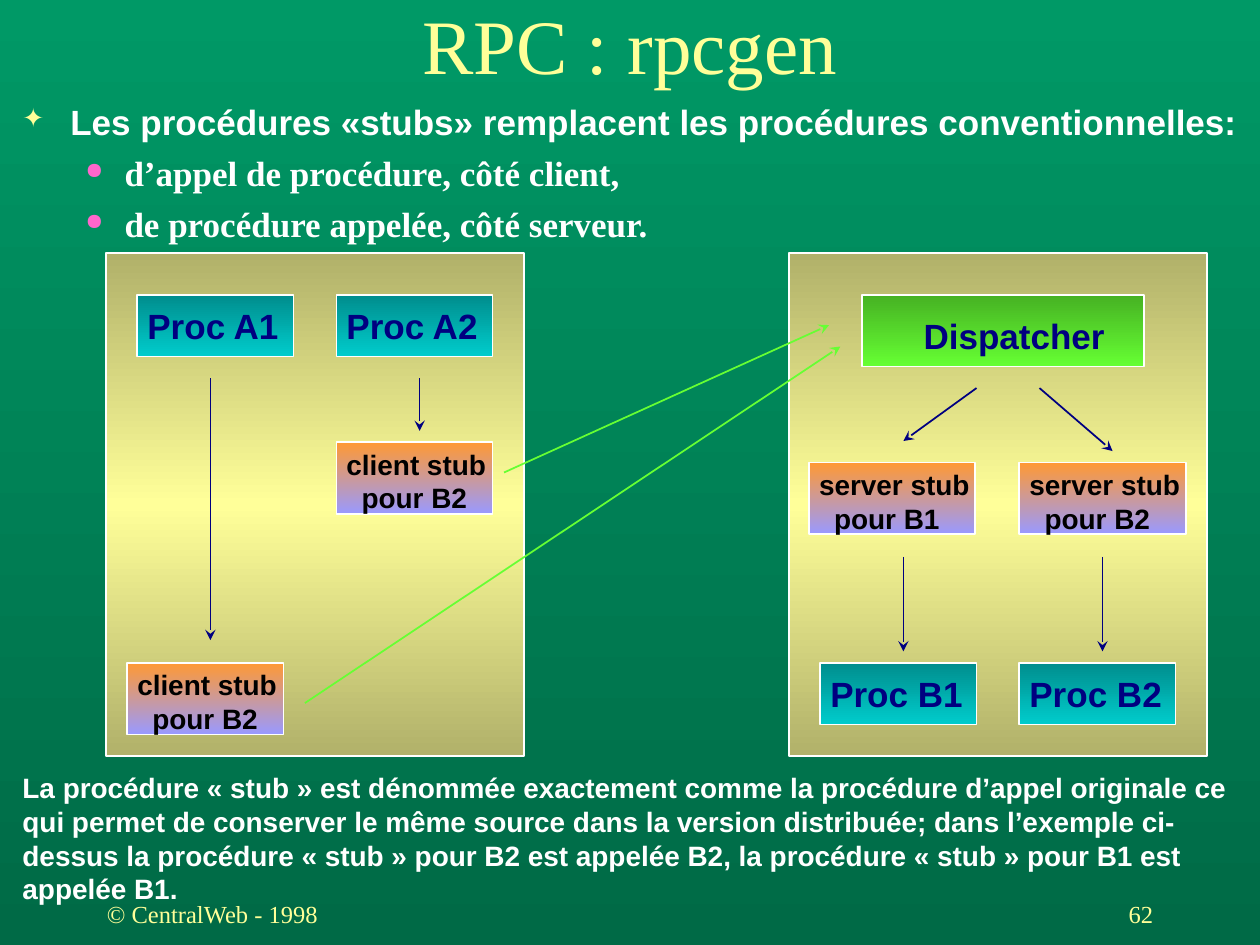
from copy import deepcopy

from pptx import Presentation
from pptx.dml.color import RGBColor
from pptx.enum.shapes import MSO_CONNECTOR as Conn, MSO_SHAPE as Shape
from pptx.enum.text import MSO_ANCHOR as Anchor, PP_ALIGN as Align
from pptx.oxml.ns import qn
from pptx.oxml.xmlchemy import OxmlElement as Elem
from pptx.util import Inches, Pt

SANS, SERIF = "Arial", "Times New Roman"
WHITE, BLACK, NAVY, CREAM, LIME = "FFFFFF", "000000", "000080", "FFFF99", "66FF33"
SAND = ["B1B16A", "FFFF99", "B1B16A"]
TEAL = ["008D8D", "00CCCC"]
STUB = ["FF9933", "9999FF"]
GREEN = ["46B123", "66FF33"]


def rgb(code):
    return RGBColor.from_string(code)


def shade(fill, root, codes):
    fill.gradient()
    fill.gradient_angle = 270
    stops = root.find(".//" + qn("a:gsLst"))
    for _ in codes[2:]:
        stops.append(deepcopy(stops[0]))
    for i, (stop, code) in enumerate(zip(fill.gradient_stops, codes)):
        stop.position = i / (len(codes) - 1)
        stop.color.rgb = rgb(code)


def style(para, size, face, color, bold):
    for run in para.runs:
        font = run.font
        font.size, font.name, font.bold = Pt(size), face, bold
        font.color.rgb = rgb(color)


def write(slide, box, text, size, face, color, bold=False, align=Align.LEFT, anchor=Anchor.TOP):
    frame = slide.shapes.add_textbox(*map(Inches, box)).text_frame
    frame.word_wrap = True
    frame.vertical_anchor = anchor
    frame.text = text
    for para in frame.paragraphs:
        para.alignment = align
        style(para, size, face, color, bold)
    return frame


def block(slide, box, codes):
    shape = slide.shapes.add_shape(Shape.RECTANGLE, *map(Inches, box))
    shape.shadow.inherit = False
    shade(shape.fill, shape.element, codes)
    shape.line.color.rgb = rgb(WHITE)
    shape.line.width = Pt(1)
    return shape


def label(slide, box, codes, text, size, color, left, top):
    frame = block(slide, box, codes).text_frame
    frame.word_wrap = True
    frame.vertical_anchor = Anchor.TOP
    frame.margin_left, frame.margin_top = Inches(left), Inches(top)
    frame.margin_right = frame.margin_bottom = 0
    frame.text = text
    for i, para in enumerate(frame.paragraphs):
        para.alignment = Align.LEFT
        if i:
            para._p.get_or_add_pPr().set("marL", str(Inches(0.12)))
        style(para, size, SANS, color, True)


def proc(slide, x, y, name):
    label(slide, (x, y, 1.24, 0.49), TEAL, "Proc " + name, 20, NAVY, 0.08, 0.08)


def stub(slide, x, y, wide, side, name):
    text = f"{side} stub\npour {name}"
    label(slide, (x, y, wide, 0.57), STUB, text, 16, BLACK, 0.08, 0.04)


def arrow(slide, x1, y1, x2, y2, color=NAVY):
    ends = map(Inches, (x1, y1, x2, y2))
    link = slide.shapes.add_connector(Conn.STRAIGHT, *ends)
    link.line.color.rgb = rgb(color)
    link.line.width = Pt(1)
    tip = Elem("a:tailEnd")
    tip.set("type", "stealth")
    link.line._get_or_add_ln().append(tip)
    link.element.spPr.append(Elem("a:effectLst"))


def bullet(para, mark, color, size, left, hang):
    props = para._p.get_or_add_pPr()
    props.set("marL", str(Inches(left)))
    props.set("indent", str(-Inches(hang)))
    tint, code = Elem("a:buClr"), Elem("a:srgbClr")
    code.set("val", color)
    tint.append(code)
    scale, char = Elem("a:buSzPct"), Elem("a:buChar")
    scale.set("val", str(size * 1000))
    char.set("char", mark)
    for part in (tint, scale, char):
        props.append(part)


def points(slide, box):
    text = ("Les procédures «stubs» remplacent les procédures conventionnelles:\n"
            "d’appel de procédure, côté client,\n"
            "de procédure appelée, côté serveur.")
    head, *subs = write(slide, box, text, 20, SANS, WHITE, True).paragraphs
    bullet(head, "✦", CREAM, 75, 0.38, 0.38)
    for para in subs:
        para.level = 1
        para.space_before = Pt(5)
        bullet(para, "●", "FF66CC", 65, 0.81, 0.31)
        style(para, 20, SERIF, WHITE, True)


def client(slide, x, y, w, h):
    block(slide, (x, y, w, h), SAND)
    proc(slide, x + 0.25, y + 0.33, "A1")
    proc(slide, x + 1.83, y + 0.33, "A2")
    stub(slide, x + 1.83, y + 1.5, 1.24, "client", "B2")
    stub(slide, x + 0.17, y + 3.25, 1.24, "client", "B2")
    arrow(slide, x + 0.83, y + 0.99, x + 0.83, y + 3.07)
    arrow(slide, x + 2.49, y + 0.99, x + 2.49, y + 1.41)


def server(slide, x, y, w, h):
    block(slide, (x, y, w, h), SAND)
    label(slide, (x + 0.58, y + 0.33, 2.24, 0.57), GREEN, "Dispatcher", 20, NAVY, 0.49, 0.16)
    for name, left, low in (("B1", 0.16, 0.25), ("B2", 1.83, 1.83)):
        stub(slide, x + left, y + 1.66, 1.32, "server", name)
        proc(slide, x + low, y + 3.25, name)
        mid = x + low + 0.66
        arrow(slide, mid, y + 2.41, mid, y + 3.16)
    arrow(slide, x + 1.49, y + 1.07, x + 0.91, y + 1.49)
    arrow(slide, x + 1.99, y + 1.07, x + 2.57, y + 1.57)


def footer(slide, x, y, w, h):
    wide = 2.08
    write(slide, (x, y, wide, h), "© CentralWeb - 1998", 14, SERIF, CREAM, anchor=Anchor.MIDDLE)
    write(slide, (x + w - wide, y, wide, h), "62", 14, SERIF, CREAM,
          align=Align.RIGHT, anchor=Anchor.MIDDLE)


def main():
    deck = Presentation()
    deck.slide_width, deck.slide_height = Inches(10), Inches(7.5)
    slide = deck.slides.add_slide(deck.slide_layouts[6])
    shade(slide.background.fill, slide.element, ["009966", "006A46"])
    write(slide, (0, 0, 10, 0.69), "RPC : rpcgen", 44, SERIF, CREAM,
          align=Align.CENTER, anchor=Anchor.MIDDLE)
    points(slide, (0.08, 0.75, 9.92, 1.25))
    client(slide, 0.84, 2.01, 3.32, 3.99)
    server(slide, 6.26, 2.01, 3.32, 3.99)
    arrow(slide, 4, 3.75, 6.58, 2.58, LIME)
    arrow(slide, 2.42, 5.58, 6.67, 2.75, LIME)
    note = ("La procédure « stub » est dénommée exactement comme la procédure d’appel "
            "originale ce qui permet de conserver le même source dans la version distribuée; "
            "dans l’exemple ci-dessus la procédure « stub » pour B2 est appelée B2, "
            "la procédure « stub » pour B1 est appelée B1.")
    write(slide, (0.08, 6.07, 9.92, 1.43), note, 16, SANS, WHITE, True)
    footer(slide, 0.75, 7, 8.5, 0.5)
    deck.save("out.pptx")


if __name__ == "__main__":
    main()
